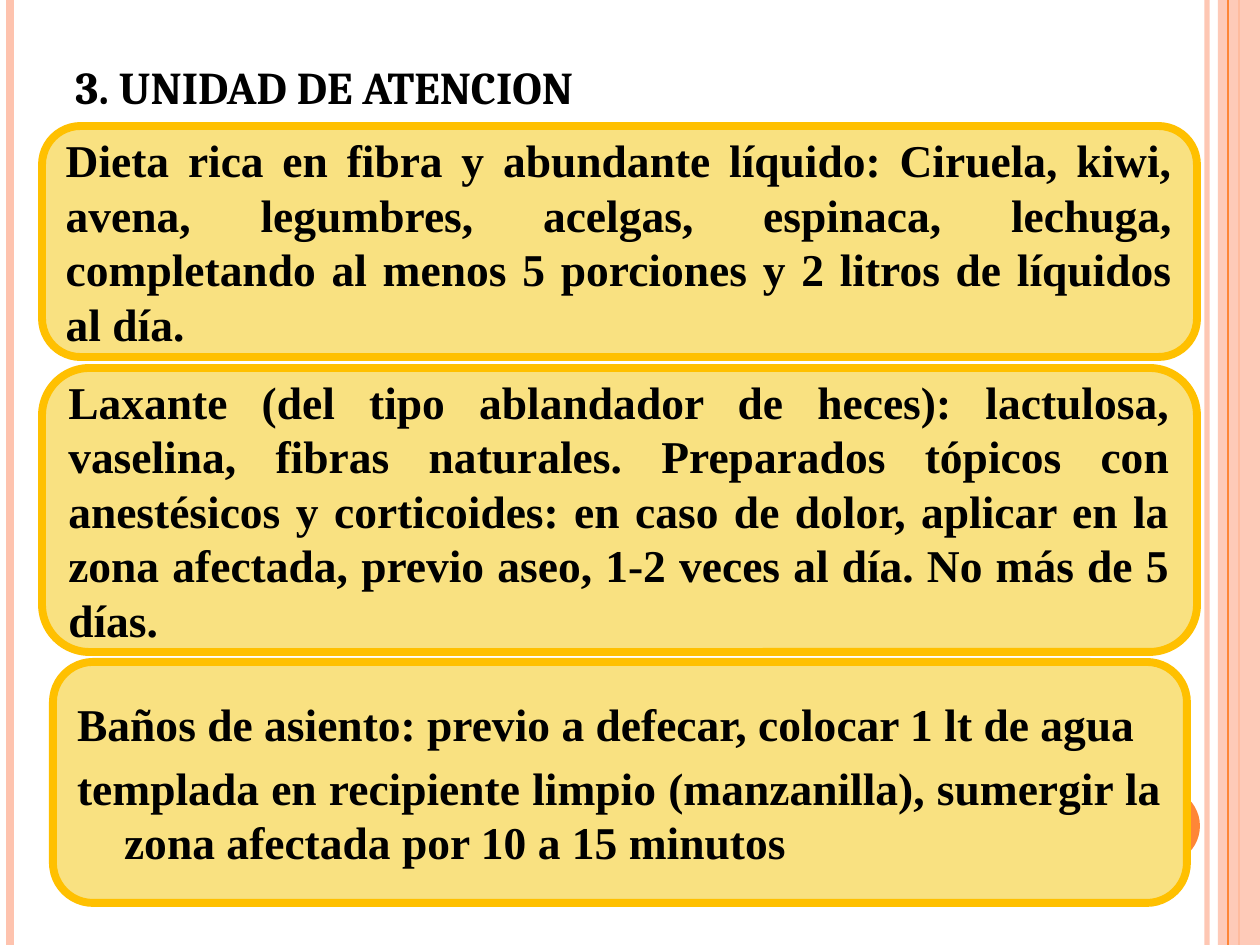
import pptx
import pptx.util
import pptx.dml.color
import pptx.enum.shapes
import pptx.enum.text
import lxml.etree

RGBColor = pptx.dml.color.RGBColor
SHAPE = pptx.enum.shapes.MSO_SHAPE
ALIGN = pptx.enum.text.PP_ALIGN
ANCHOR = pptx.enum.text.MSO_ANCHOR

PEACH = RGBColor(0xFE, 0xC3, 0xAE)
ORANGE = RGBColor(0xFE, 0x86, 0x37)
CREAM = RGBColor(0xF9, 0xE1, 0x81)
GOLD = RGBColor(0xFF, 0xC0, 0x00)
BLACK = RGBColor(0, 0, 0)

WIDE, HIGH = 1260, 945
SCALE = 914400 / 126
NS = "http://schemas.openxmlformats.org/drawingml/2006/main"

DIET = ("Dieta rica en fibra y abundante líquido: Ciruela, kiwi, avena, legumbres, "
        "acelgas, espinaca, lechuga, completando al menos 5 porciones y 2 litros "
        "de líquidos al día.")
DRUGS = ("Laxante (del tipo ablandador de heces): lactulosa, vaselina, fibras "
         "naturales. Preparados tópicos con anestésicos y corticoides: en caso de "
         "dolor, aplicar en la zona afectada, previo aseo, 1-2 veces al día. "
         "No más de 5 días.")
BATHS = ("Baños de asiento: previo a defecar, colocar 1 lt de agua",
         "templada en recipiente limpio (manzanilla), sumergir la zona afectada "
         "por 10 a 15 minutos")


def px(num):
    return pptx.util.Emu(round(num * SCALE))


def fade(fill, pct):
    color = fill.find(f".//{{{NS}}}srgbClr")
    lxml.etree.SubElement(color, f"{{{NS}}}alpha", val=str(pct * 1000))


def add_shape(slide, kind, box, fill):
    shape = slide.shapes.add_shape(kind, *map(px, box))
    shape.shadow.inherit = False
    shape.fill.solid()
    shape.fill.fore_color.rgb = fill
    shape.line.fill.background()
    return shape


def add_rule(slide, x, top, high, color, width, pct=100):
    rule = slide.shapes.add_connector(
        pptx.enum.shapes.MSO_CONNECTOR.STRAIGHT,
        px(x), px(top), px(x), px(top + high))
    rule.line.color.rgb = color
    rule.line.width = pptx.util.Pt(width)
    props = rule.line._get_or_add_ln().getparent()
    lxml.etree.SubElement(props, f"{{{NS}}}effectLst")
    if pct < 100:
        fade(props, pct)


def set_text(frame, lines, font, align, hang=0, gap=0):
    frame.word_wrap = True
    frame.text = "\n".join(lines)
    for num, para in enumerate(frame.paragraphs):
        para.alignment = align
        if hang:
            props = para._p.get_or_add_pPr()
            props.set("marL", str(px(hang)))
            props.set("indent", str(-px(hang)))
        if num:
            para.space_before = pptx.util.Pt(gap)
        for run in para.runs:
            run.font.name = font
            run.font.size = pptx.util.Pt(26)
            run.font.bold = True
            run.font.color.rgb = BLACK


def add_frame(slide, box):
    """Rules, band and dot along the slide edges."""
    left, top, wide, high = box
    right = left + wide
    add_rule(slide, right - 53, top, high, PEACH, 3, 93)
    add_rule(slide, left + 10, top, high, PEACH, 4.5)
    add_rule(slide, right - 21, top, high, ORANGE, 1.5)
    band = add_shape(slide, SHAPE.RECTANGLE, (right - 42, top, 42, high), PEACH)
    fade(band._element.spPr, 87)
    add_rule(slide, right - 32, top, high, ORANGE, 0.75)
    add_shape(slide, SHAPE.OVAL, (right - 136, top + 788, 76, 76), ORANGE)


def add_title(slide, box):
    title = slide.shapes.add_textbox(*map(px, box))
    set_text(title.text_frame, ["3. UNIDAD DE ATENCION"], "Cambria",
             ALIGN.LEFT, hang=38)


def add_card(slide, box, lines, hang=0, gap=0):
    card = add_shape(slide, SHAPE.ROUNDED_RECTANGLE, box, CREAM)
    card.line.color.rgb = GOLD
    card.line.width = pptx.util.Pt(4.5)
    card.text_frame.vertical_anchor = ANCHOR.MIDDLE
    set_text(card.text_frame, lines, "Times New Roman", ALIGN.JUSTIFY, hang, gap)


def main():
    deck = pptx.Presentation()
    deck.slide_width, deck.slide_height = px(WIDE), px(HIGH)
    slide = deck.slides.add_slide(deck.slide_layouts[6])

    add_frame(slide, (0, 0, WIDE, HIGH))
    add_title(slide, (63, 53, 1155, 70))

    # Care advice
    add_card(slide, (42, 126, 1155, 231), [DIET])
    add_card(slide, (42, 368, 1155, 284), [DRUGS])
    add_card(slide, (53, 662, 1134, 241), BATHS, hang=47, gap=5)

    deck.save("out.pptx")


if __name__ == "__main__":
    main()
